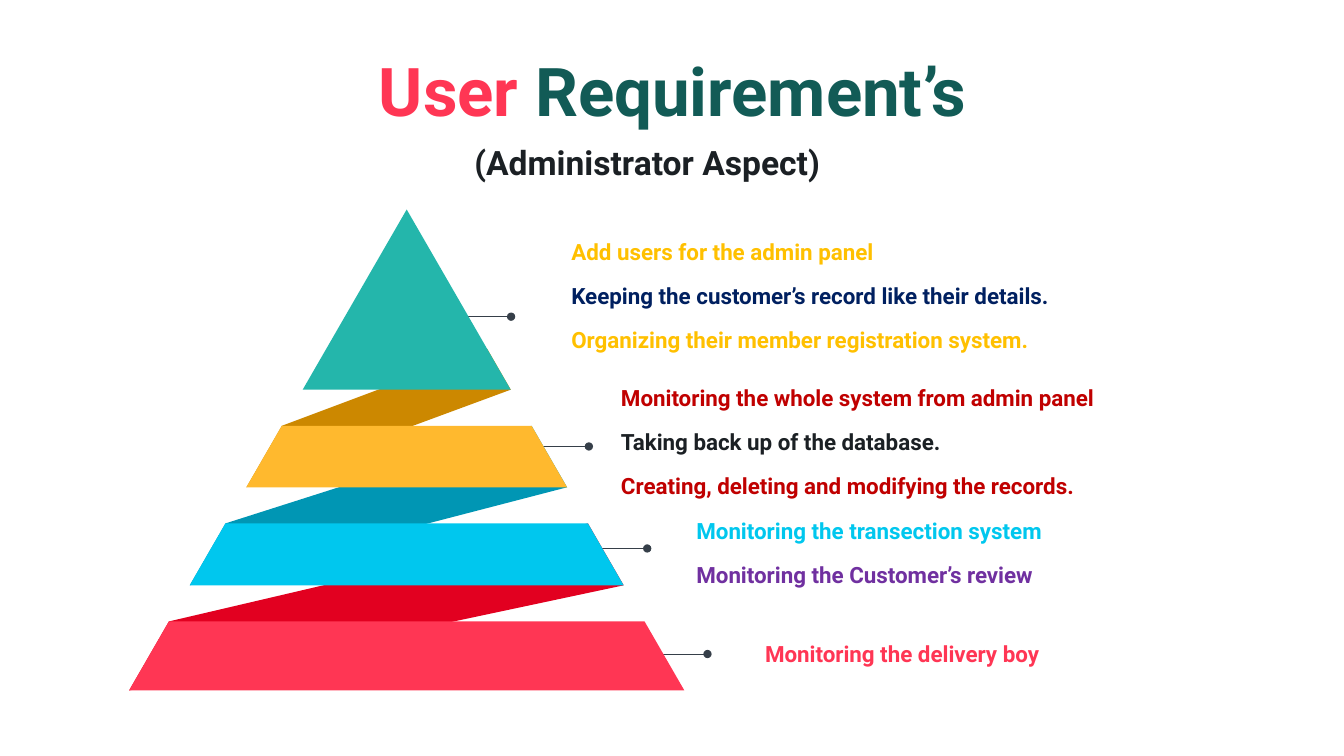
from math import sqrt

from lxml import etree
from pptx import Presentation
from pptx.dml.color import RGBColor
from pptx.enum.shapes import MSO_CONNECTOR
from pptx.enum.text import MSO_ANCHOR as ANCHOR, PP_ALIGN as ALIGN
from pptx.oxml.ns import qn
from pptx.util import Cm, Pt

RED = RGBColor(0xFF, 0x36, 0x54)
DARK_RED = RGBColor(0xE2, 0x00, 0x20)
CYAN = RGBColor(0x00, 0xC7, 0xEE)
DARK_CYAN = RGBColor(0x00, 0x96, 0xB4)
AMBER = RGBColor(0xFF, 0xB9, 0x2E)
DARK_AMBER = RGBColor(0xCC, 0x88, 0x00)
TEAL = RGBColor(0x24, 0xB6, 0xAB)
GREEN = RGBColor(0x12, 0x5B, 0x56)
INK = RGBColor(0x1B, 0x20, 0x24)
SLATE = RGBColor(0x36, 0x3F, 0x49)
GOLD = RGBColor(0xFF, 0xC0, 0x00)
NAVY = RGBColor(0x00, 0x20, 0x60)
CRIMSON = RGBColor(0xC0, 0x00, 0x00)
PURPLE = RGBColor(0x70, 0x30, 0xA0)

AXIS, APEX = 10.25, 5.28  # pyramid centre line and tip, in cm
CALLOUT = 1.17


def write_text(sp, box, paragraphs, size, anchor=ANCHOR.MIDDLE, **layout):
    """Fill a shape; each paragraph is a list of (text, colour) runs."""
    sp.left, sp.top, sp.width, sp.height = [Cm(v) for v in box]
    tf = sp.text_frame
    frame = dict(word_wrap=True, vertical_anchor=anchor, margin_left=0,
                 margin_top=0, margin_right=0, margin_bottom=0)
    for name, value in frame.items():
        setattr(tf, name, value)
    for i, runs in enumerate(paragraphs):
        p = tf.add_paragraph() if i else tf.paragraphs[0]
        for name, value in layout.items():
            setattr(p, name, value)
        for text, color in runs:
            r = p.add_run()
            r.text = text
            for name, value in dict(name="Roboto", size=Pt(size), bold=True).items():
                setattr(r.font, name, value)
            r.font.color.rgb = color


def add_band(levels, color):
    """Draw a quad from four (side, y) corners on the 60° pyramid edges."""
    points = [(Cm(AXIS + side * (y - APEX) / sqrt(3)), Cm(y)) for side, y in levels]
    builder = s.shapes.build_freeform(*points[0], scale=1.0)
    builder.add_line_segments(points[1:], close=True)
    sp = builder.convert_to_shape()
    sp.shadow.inherit = False
    sp.fill.solid()
    sp.fill.fore_color.rgb = color
    sp.line.fill.background()


prs = Presentation()
prs.slide_width, prs.slide_height = Cm(33.87), Cm(19.05)
s = prs.slides.add_slide(prs.slide_layouts[5])

heading = dict(alignment=ALIGN.CENTER, line_spacing=0.9)
write_text(s.shapes.title, (1.45, 1.47, 31, 1.83),
           [[("User ", RED), ("Requirement’s", GREEN)]], 48, **heading)
write_text(s.shapes.add_textbox(0, 0, 0, 0), (0.81, 3.23, 31, 1.83),
           [[("(Administrator Aspect)", INK)]], 24, **heading)

# left, top, width, lines
requirements = [
    (14.4, 6.01, 13, [("Add users for the admin panel", GOLD),
                      ("Keeping the customer’s record like their details.", NAVY),
                      ("Organizing their member registration system.", GOLD)]),
    (15.65, 9.69, 15.6, [("Monitoring the whole system from admin panel", CRIMSON),
                         ("Taking back up of the database.", INK),
                         ("Creating, deleting and modifying the records.", CRIMSON)]),
    (17.55, 13.04, 12.4, [("Monitoring the transection system", CYAN),
                          ("Monitoring the Customer’s review", PURPLE)]),
    (19.28, 16.14, 11, [("Monitoring the delivery boy", RED)]),
]
for left, top, width, lines in requirements:
    write_text(s.shapes.add_textbox(0, 0, 0, 0), (left, top, width, 1.1 * len(lines)),
               [[line] for line in lines], 16, ANCHOR.TOP, space_after=Pt(12))

for x, y in [(11.71, 7.98), (13.67, 11.25), (15.14, 13.82), (16.66, 16.48)]:
    line = s.shapes.add_connector(MSO_CONNECTOR.STRAIGHT,
                                  Cm(x), Cm(y), Cm(x + CALLOUT), Cm(y))
    line.line.color.rgb = SLATE
    line.line.width = Pt(0.5)
    etree.SubElement(line.line._get_or_add_ln(), qn("a:tailEnd"), type="oval")
    etree.SubElement(line._element.spPr, qn("a:effectLst"))

# top, bottom, start of the fold below, colour, fold colour
bands = [
    (APEX, 9.82, 8.79, TEAL, DARK_AMBER),
    (10.73, 12.28, 10.73, AMBER, DARK_CYAN),
    (13.19, 14.75, 13.19, CYAN, DARK_RED),
    (15.66, 17.4, None, RED, None),
]
for (_, bottom, fold, _, shade), (next_top, next_bottom, *_) in zip(bands, bands[1:]):
    add_band([(-1, next_top), (1, fold), (1, bottom), (-1, next_bottom)], shade)
for top, bottom, _, color, _ in bands:
    add_band([(-1, top), (1, top), (1, bottom), (-1, bottom)], color)

prs.save("out.pptx")
